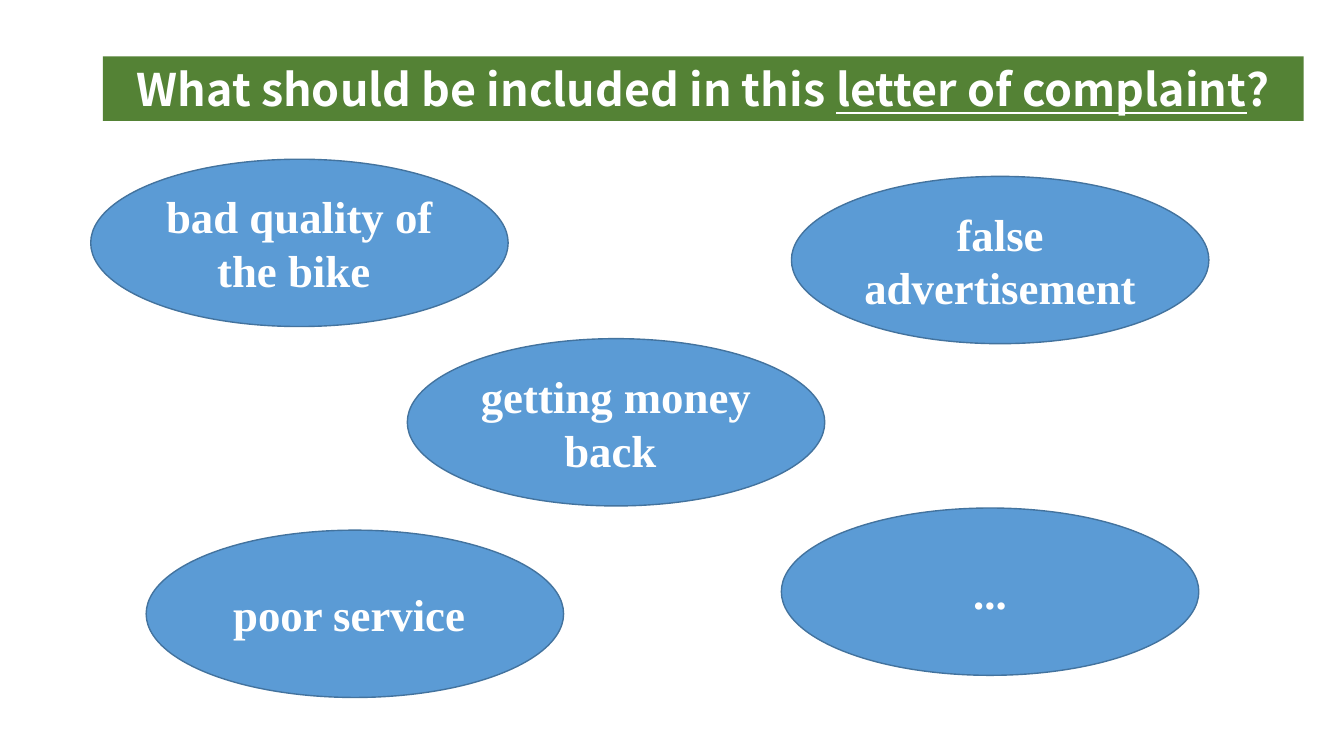
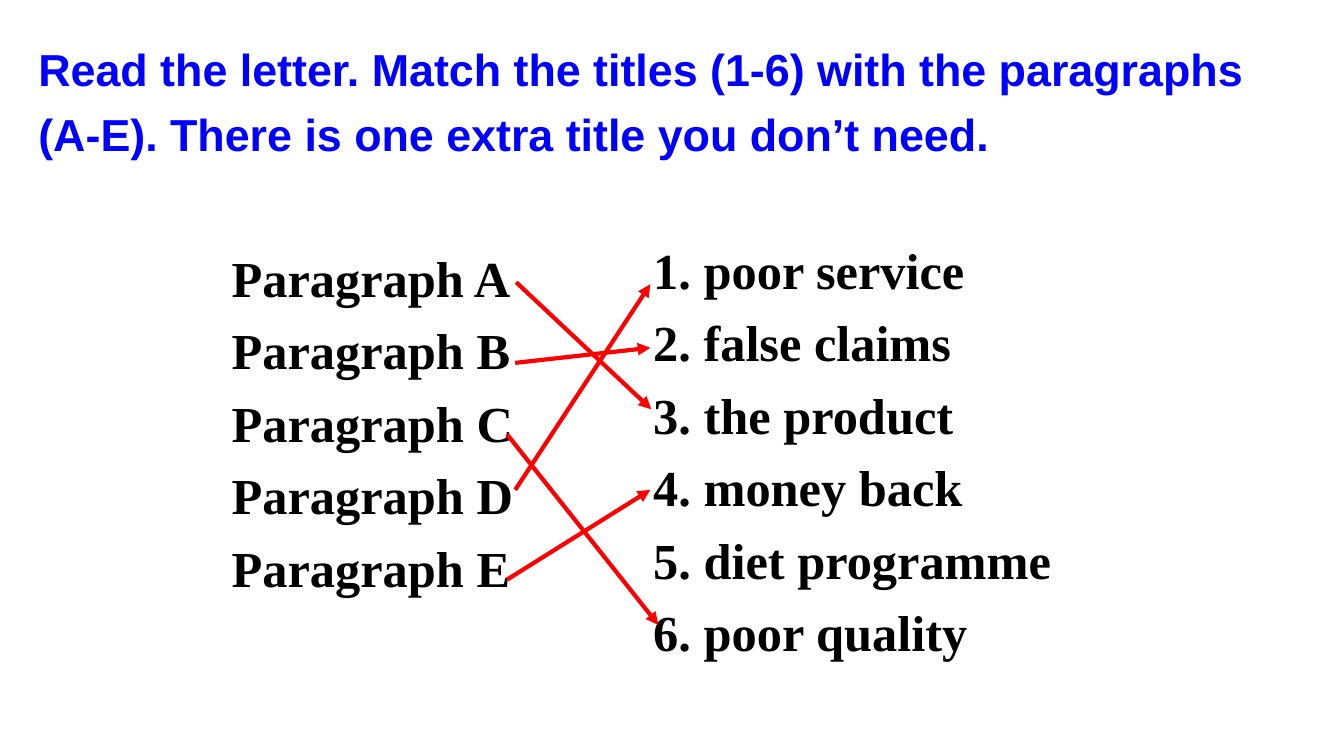
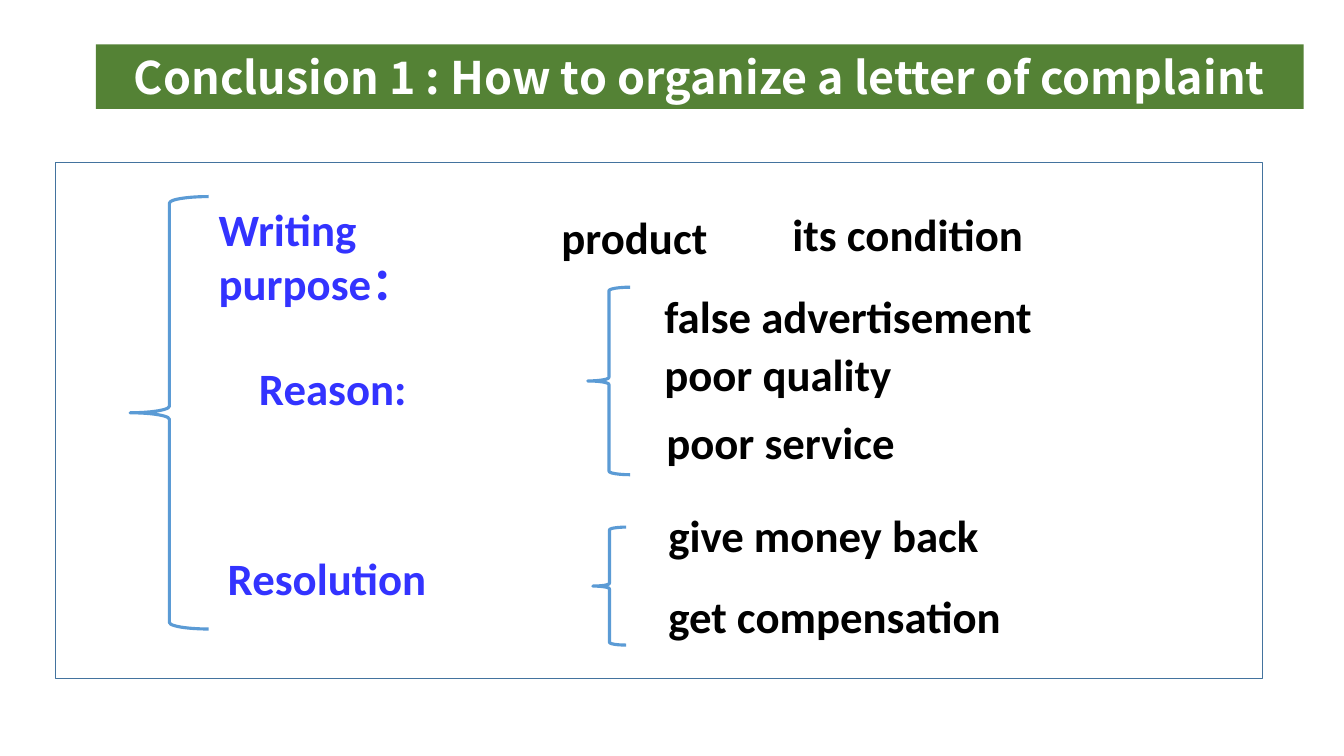
from lxml.etree import SubElement
from pptx import Presentation
from pptx.dml.color import RGBColor
from pptx.enum.shapes import MSO_CONNECTOR, MSO_SHAPE
from pptx.enum.text import MSO_ANCHOR, MSO_AUTO_SIZE, PP_ALIGN
from pptx.oxml.ns import qn
from pptx.util import Inches, Pt

COLORS = {
    "band": "548235", "white": "FFFFFF", "black": "000000",
    "accent": "5B9BD5", "outline": "43739E",
    "instruction": "0000FF", "label": "3333FF", "arrow": "FF0000",
}
BAND_FONT, SERIF, SANS, BODY = "Noto Sans CJK SC", "Times New Roman", "Arial", "Calibri"


def color(name):
    return RGBColor.from_string(COLORS[name])


def style(paragraph, font, size, color_name, align=PP_ALIGN.LEFT, spacing=1.0):
    paragraph.font.name = font
    paragraph.font.size = Pt(size)
    paragraph.font.bold = True
    paragraph.font.color.rgb = color(color_name)
    paragraph.alignment = align
    paragraph.line_spacing = spacing


def new_slide(prs):
    return prs.slides.add_slide(prs.slide_layouts.get_by_name("Title Only"))


def place_title(slide, left, top, width, height, anchor):
    title = slide.shapes.title
    title.left, title.top = Inches(left), Inches(top)
    title.width, title.height = Inches(width), Inches(height)
    frame = title.text_frame
    frame.auto_size = MSO_AUTO_SIZE.NONE
    frame.vertical_anchor = anchor
    return title


def band_title(slide, left, top, width, parts):
    """Green band; parts are (text, underlined) pairs."""
    title = place_title(slide, left, top, width, 0.64, MSO_ANCHOR.MIDDLE)
    title.fill.solid()
    title.fill.fore_color.rgb = color("band")
    title.text_frame.word_wrap = False
    heading = title.text_frame.paragraphs[0]
    for text, underlined in parts:
        run = heading.add_run()
        run.text = text
        if underlined:
            run.font.underline = True
    style(heading, BAND_FONT, 32, "white", PP_ALIGN.CENTER)


def outlined_shape(slide, kind, box, line, weight, fill=None):
    shape = slide.shapes.add_shape(kind, *map(Inches, box))
    shape.shadow.inherit = False
    if fill:
        shape.fill.solid()
        shape.fill.fore_color.rgb = color(fill)
    else:
        shape.fill.background()
    shape.line.color.rgb = color(line)
    shape.line.width = Pt(weight)
    return shape


def idea(slide, left, top, text):
    oval = outlined_shape(slide, MSO_SHAPE.OVAL, (left, top, 4.14, 1.66),
                          "outline", 1, "accent")
    frame = oval.text_frame
    frame.word_wrap = True
    frame.vertical_anchor = MSO_ANCHOR.MIDDLE
    frame.text = text
    style(frame.paragraphs[0], SERIF, 32, "white", PP_ALIGN.CENTER)


def text_box(slide, box, lines, font, size, color_name, spacing=1.0, wrap=True):
    frame = slide.shapes.add_textbox(*map(Inches, box)).text_frame
    frame.word_wrap = wrap
    frame.text = "\n".join(lines)
    for paragraph in frame.paragraphs:
        style(paragraph, font, size, color_name, spacing=spacing)
    return frame


def number(paragraph, indent):
    """Automatic 1. 2. 3. numbering with a hanging indent."""
    props = paragraph._p.get_or_add_pPr()
    props.set("marL", str(Inches(indent)))
    props.set("indent", str(-Inches(indent)))
    numbering = SubElement(props, qn("a:buAutoNum"), type="arabicPeriod")
    defaults = props.find(qn("a:defRPr"))
    if defaults is not None:
        defaults.addprevious(numbering)


def arrow(slide, start, end):
    line = slide.shapes.add_connector(MSO_CONNECTOR.STRAIGHT,
                                      *map(Inches, start + end))
    line.line.color.rgb = color("arrow")
    line.line.width = Pt(3)
    SubElement(line.line._get_or_add_ln(), qn("a:tailEnd"), type="triangle")
    SubElement(line._element.spPr, qn("a:effectLst"))


def ideas_slide(prs):
    slide = new_slide(prs)
    band_title(slide, 1.02, 0.56, 11.91, [
        ("What should be included in this ", False),
        ("letter of complaint", True), ("?", False)])
    for left, top, text in [
        (0.9, 1.58, "bad quality of the bike "),
        (7.85, 1.75, "false advertisement"),
        (4.04, 3.36, "getting money back "),
        (1.45, 5.26, "poor service "),
        (7.75, 5.04, "..."),
    ]:
        idea(slide, left, top, text)


def matching_slide(prs):
    slide = new_slide(prs)
    title = place_title(slide, 0.28, 0.26, 12.83, 1.39, MSO_ANCHOR.TOP)
    title.text_frame.text = ("Read the letter. Match the titles (1-6) with the paragraphs "
                             "(A-E). There is one extra title you don’t need.")
    style(title.text_frame.paragraphs[0], SANS, 32, "instruction", spacing=1.2)

    text_box(slide, (2.2, 2.28, 3.23, 3.7), [f"Paragraph {letter}" for letter in "ABCDE"],
             SERIF, 36, "black", 1.2)
    choices = text_box(slide, (6.38, 2.2, 4.17, 4.42),
                       ["poor service", "false claims", "the product",
                        "money back", "diet programme", "poor quality"],
                       SERIF, 36, "black", 1.2)
    for choice in choices.paragraphs:
        number(choice, 0.5)

    # Answers, from paragraph A to E
    for start, end in [
        ((5.12, 2.8), (6.46, 4.06)),
        ((5.11, 3.6), (6.45, 3.45)),
        ((5.03, 4.31), (6.53, 6.2)),
        ((5.11, 4.86), (6.45, 2.82)),
        ((5.03, 5.75), (6.45, 4.86)),
    ]:
        arrow(slide, start, end)


def conclusion_slide(prs):
    slide = new_slide(prs)
    outlined_shape(slide, MSO_SHAPE.RECTANGLE, (0.55, 1.61, 11.97, 5.12),
                   "outline", 1, "white")
    band_title(slide, 0.95, 0.44, 11.98,
               [("Conclusion 1 : How to organize a letter of complaint", False)])

    # Parts of the letter; only the first one wraps
    text_box(slide, (2.07, 1.95, 3.43, 0.64), ["Writing purpose："], BODY, 32, "label")
    for left, top, width, text, color_name in [
        (2.47, 3.53, 1.68, "Reason:", "label"),
        (2.16, 5.41, 2.19, "Resolution", "label"),
        (5.47, 2.03, 1.66, "product", "black"),
        (7.76, 2.0, 2.52, "its condition", "black"),
        (6.49, 2.82, 3.88, "false advertisement", "black"),
        (6.49, 3.39, 2.48, "poor quality", "black"),
        (6.51, 4.07, 2.49, "poor service", "black"),
        (6.53, 4.99, 3.31, "give money back", "black"),
        (6.53, 5.79, 3.53, "get compensation", "black"),
    ]:
        text_box(slide, (left, top, width, 0.64), [text], BODY, 32, color_name, wrap=False)

    # Braces: whole letter, reasons, resolutions
    for box in [(1.29, 1.95, 0.78, 4.29), (5.83, 2.85, 0.42, 1.86), (5.88, 5.23, 0.33, 1.17)]:
        outlined_shape(slide, MSO_SHAPE.LEFT_BRACE, box, "accent", 2.25)


def main():
    prs = Presentation()
    prs.slide_width, prs.slide_height = Inches(13.33), Inches(7.5)
    ideas_slide(prs)
    matching_slide(prs)
    conclusion_slide(prs)
    prs.save("out.pptx")


if __name__ == "__main__":
    main()
